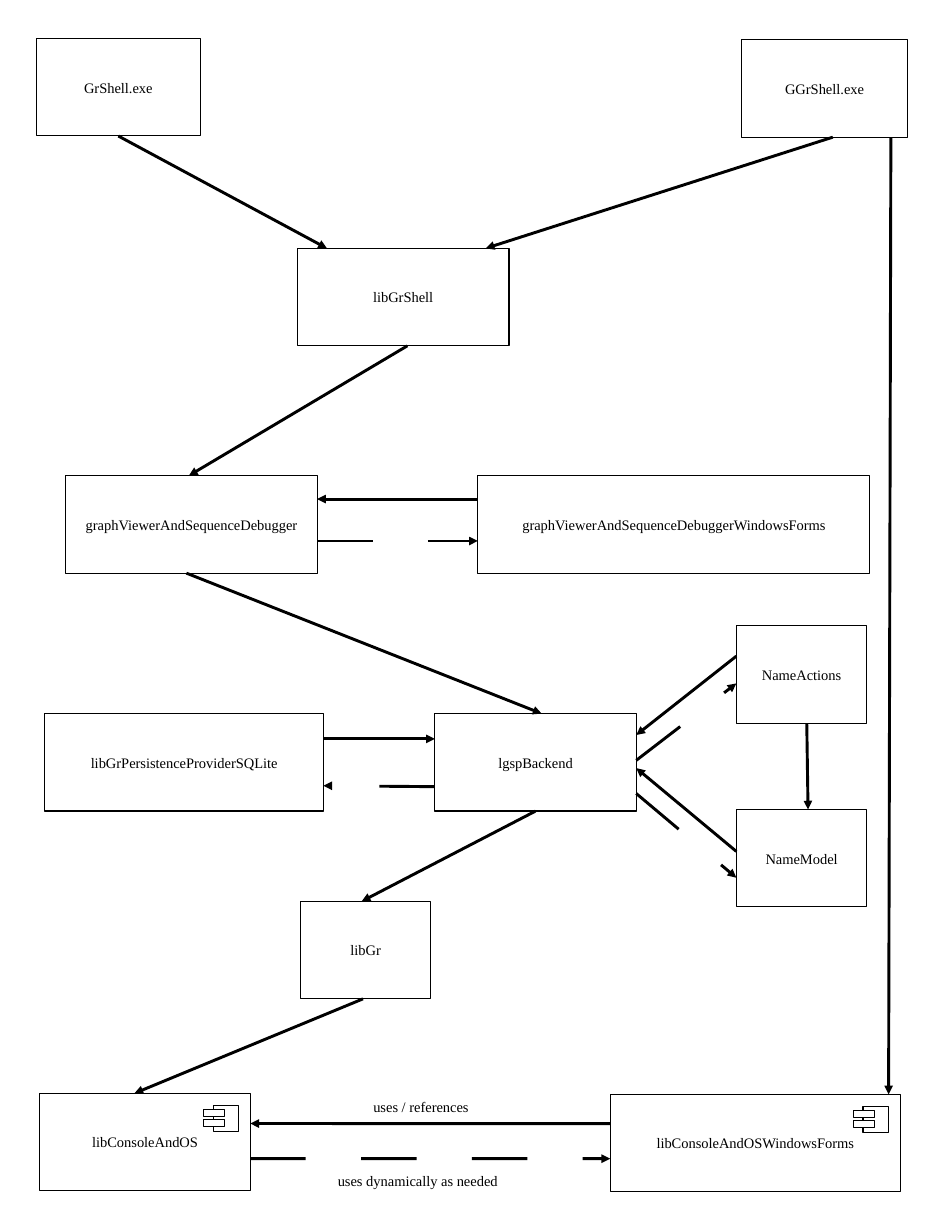
from lxml.etree import SubElement
from pptx import Presentation
from pptx.dml.color import RGBColor
from pptx.enum.shapes import MSO_CONNECTOR, MSO_SHAPE
from pptx.enum.text import MSO_ANCHOR, PP_ALIGN
from pptx.oxml.ns import qn
from pptx.util import Pt

TOP, LEFT, BOTTOM, RIGHT = range(4)
BOX_HEIGHT = 67.3

BOXES = {
    "GGrShell.exe": (511.9, 27.4, 114.5),
    "GrShell.exe": (25.2, 26.6, 113),
    "libGrShell": (205.2, 171.4, 146.2),
    "graphViewerAndSequenceDebugger": (45.4, 328.3, 173.5),
    "graphViewerAndSequenceDebuggerWindowsForms": (329.8, 328.3, 270.7),
    "NameActions": (508.3, 432, 90),
    "NameModel": (508.3, 558.7, 90),
    "libGrPersistenceProviderSQLite": (31, 492.5, 192.2),
    "lgspBackend": (300.2, 492.5, 139),
    "libGr": (207.4, 622.1, 90),
    "libConsoleAndOS": (27.4, 754.6, 145.4),
    "libConsoleAndOSWindowsForms": (421.2, 755.3, 200.2),
}

VIEWER = "graphViewerAndSequenceDebugger"
VIEWER_FORMS = "graphViewerAndSequenceDebuggerWindowsForms"
STORE = "libGrPersistenceProviderSQLite"
CONSOLE = "libConsoleAndOS"
CONSOLE_FORMS = "libConsoleAndOSWindowsForms"

USES = [
    ("GrShell.exe", BOTTOM, 0.5, "libGrShell", TOP, 0.14),
    ("GGrShell.exe", BOTTOM, 0.55, "libGrShell", TOP, 0.89),
    ("GGrShell.exe", BOTTOM, 0.9, CONSOLE_FORMS, TOP, 0.96),
    ("libGrShell", BOTTOM, 0.52, VIEWER, TOP, 0.49),
    (VIEWER, BOTTOM, 0.48, "lgspBackend", TOP, 0.53),
    ("lgspBackend", BOTTOM, 0.5, "libGr", TOP, 0.47),
    ("libGr", BOTTOM, 0.48, CONSOLE, TOP, 0.45),
    (VIEWER_FORMS, LEFT, 0.24, VIEWER, RIGHT, 0.24),
    (STORE, RIGHT, 0.26, "lgspBackend", LEFT, 0.26),
    (CONSOLE_FORMS, LEFT, 0.3, CONSOLE, RIGHT, 0.31),
    ("NameActions", LEFT, 0.31, "lgspBackend", RIGHT, 0.22),
    ("NameModel", LEFT, 0.43, "lgspBackend", RIGHT, 0.56),
    ("NameActions", BOTTOM, 0.54, "NameModel", TOP, 0.55),
]

USES_DYNAMICALLY = [
    (VIEWER, RIGHT, 0.67, VIEWER_FORMS, LEFT, 0.67),
    ("lgspBackend", LEFT, 0.75, STORE, RIGHT, 0.74),
    (CONSOLE, RIGHT, 0.67, CONSOLE_FORMS, LEFT, 0.66),
    ("lgspBackend", RIGHT, 0.48, "NameActions", LEFT, 0.59),
    ("lgspBackend", RIGHT, 0.82, "NameModel", LEFT, 0.7),
]


def rgb(value):
    return RGBColor.from_string(value)


class Diagram:
    """Draws boxes, labels, icons and arrows in one style on a slide."""

    font, size = "Times New Roman", 10
    ink, paper = "000000", "FFFFFF"

    def __init__(self, s):
        self.s = s
        self.boxes = {}

    def text(self, tf, text, align):
        tf.word_wrap = True
        tf.text = text
        p = tf.paragraphs[0]
        p.alignment = align
        font = p.runs[0].font
        font.name, font.size = self.font, Pt(self.size)
        font.color.rgb = rgb(self.ink)

    def rect(self, shapes, x, y, w, h):
        sp = shapes.add_shape(MSO_SHAPE.RECTANGLE, Pt(x), Pt(y), Pt(w), Pt(h))
        sp.shadow.inherit = False
        sp.fill.solid()
        sp.fill.fore_color.rgb = rgb(self.paper)
        sp.line.color.rgb = rgb(self.ink)
        sp.line.width = Pt(0)
        return sp

    def box(self, name, x, y, w):
        sp = self.rect(self.s.shapes, x, y, w, BOX_HEIGHT)
        sp.text_frame.vertical_anchor = MSO_ANCHOR.MIDDLE
        self.text(sp.text_frame, name, PP_ALIGN.CENTER)
        self.boxes[name] = sp

    def label(self, text, x, y, w):
        sp = self.s.shapes.add_textbox(Pt(x), Pt(y), Pt(w), Pt(29.5))
        self.text(sp.text_frame, text, PP_ALIGN.LEFT)

    def icon(self, name):
        x, y, w = BOXES[name]
        right = x + w
        shapes = self.s.shapes.add_group_shape().shapes
        self.rect(shapes, right - 25.7, y + 8.6, 17.5, 18)
        for dy in (11.5, 18.4):
            self.rect(shapes, right - 32.3, y + dy, 14.4, 4.3)

    def point(self, name, side, share):
        x, y, w = BOXES[name]
        if side in (TOP, BOTTOM):
            return Pt(x + share * w), Pt(y + BOX_HEIGHT * (side == BOTTOM))
        return Pt(x + w * (side == RIGHT)), Pt(y + share * BOX_HEIGHT)

    def arrow(self, start, side, share, end, end_side, end_share, dashed=False):
        c = self.s.shapes.add_connector(
            MSO_CONNECTOR.STRAIGHT,
            *self.point(start, side, share),
            *self.point(end, end_side, end_share),
        )
        if share == 0.5:
            c.begin_connect(self.boxes[start], side)
        if end_share == 0.5:
            c.end_connect(self.boxes[end], end_side)
        c.line.color.rgb = rgb(self.ink)
        c.line.width = Pt(0)
        ln = c.line._get_or_add_ln()
        if dashed:
            dash = SubElement(ln, qn("a:custDash"))
            SubElement(dash, qn("a:ds"), d="1900000", sp="1900000")
        SubElement(ln, qn("a:tailEnd"), type="triangle")
        SubElement(c._element.spPr, qn("a:effectLst"))


def main():
    prs = Presentation()
    prs.slide_width, prs.slide_height = Pt(652.3), Pt(850.3)
    d = Diagram(prs.slides.add_slide(prs.slide_layouts[6]))
    for name, place in BOXES.items():
        d.box(name, *place)
    for link in USES:
        d.arrow(*link)
    for link in USES_DYNAMICALLY:
        d.arrow(*link, dashed=True)
    for name in (CONSOLE, CONSOLE_FORMS):
        d.icon(name)
    d.label("uses / references", 250.6, 754.6, 90.7)
    d.label("uses dynamically as needed", 226.1, 805.7, 134.6)
    prs.save("out.pptx")


if __name__ == "__main__":
    main()
